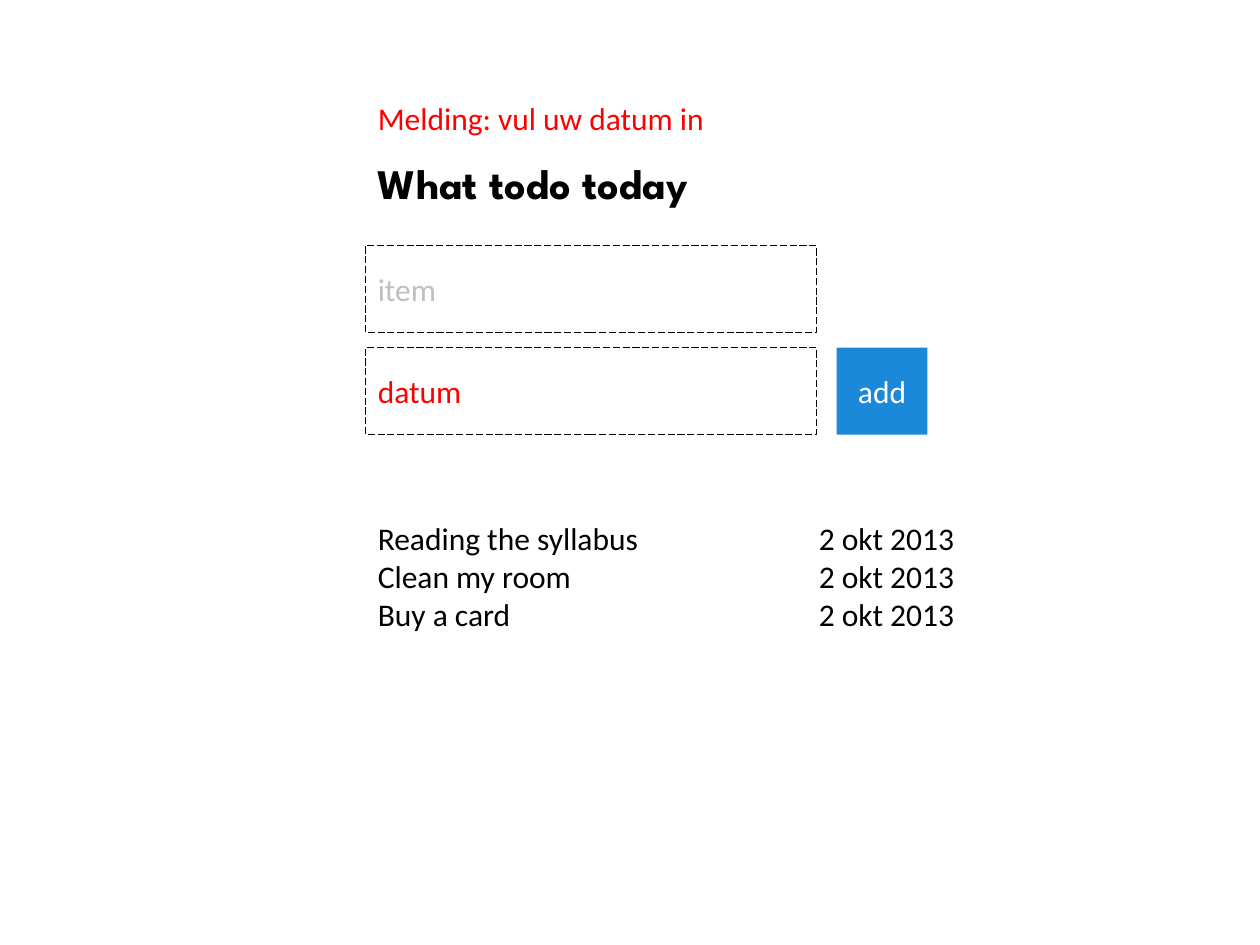
from lxml import etree
from pptx import Presentation
from pptx.dml.color import RGBColor
from pptx.enum.dml import MSO_LINE
from pptx.enum.shapes import MSO_SHAPE
from pptx.enum.text import MSO_ANCHOR, MSO_AUTO_SIZE, PP_ALIGN
from pptx.oxml.ns import qn
from pptx.util import Inches, Pt

RECT = MSO_SHAPE.RECTANGLE
DASH = MSO_LINE.LONG_DASH
MID, TOP = MSO_ANCHOR.MIDDLE, MSO_ANCHOR.TOP
LEFT, MIDDLE = PP_ALIGN.LEFT, PP_ALIGN.CENTER
GROW = MSO_AUTO_SIZE.SHAPE_TO_FIT_TEXT
CELL = Inches(0.1)
STOP = Inches(3.5)
HUES = {"ink": "000000", "hint": "BFBFBF", "alert": "FF0000",
        "button": "1C88DA", "paper": "FFFFFF"}
BODY = {"name": "Calibri", "size": Pt(18), "bold": False}
HEAD = {"name": "League Spartan", "size": Pt(24), "bold": True}
EDGE, WIDE, FIELD = 29, 51.8, 35.8
ROW, STEP, FIRST = 6.9, 8.1, 19.5
TASKS = [("Reading the syllabus", "2 okt 2013"),
         ("Clean my room", "2 okt 2013"),
         ("Buy a card", "2 okt 2013")]


def hue(name):
    """Return the named colour."""
    return RGBColor.from_string(HUES[name])


def span(box):
    """Turn grid columns and rows into lengths."""
    return [round(n * CELL) for n in box]


def write(frame, lines, ink, font=BODY, align=LEFT):
    """Fill a text frame with one styled paragraph per line."""
    for i, line in enumerate(lines):
        para = frame.add_paragraph() if i else frame.paragraphs[0]
        para.alignment = align
        run = para.add_run()
        run.text = line
        for key, value in font.items():
            setattr(run.font, key, value)
        run.font.color.rgb = hue(ink)


def label(slide, box, lines, ink, font=BODY, wrap=True):
    """Place a text box and return its frame."""
    frame = slide.shapes.add_textbox(*span(box)).text_frame
    form = {"word_wrap": wrap, "auto_size": GROW, "vertical_anchor": TOP}
    for key, value in form.items():
        setattr(frame, key, value)
    write(frame, lines, ink, font)
    return frame


def block(slide, box, text, ink, align=LEFT):
    """Place a plain rectangle with text and return it."""
    shape = slide.shapes.add_shape(RECT, *span(box))
    shape.shadow.inherit = False
    shape.fill.background()
    shape.line.fill.background()
    shape.text_frame.vertical_anchor = MID
    write(shape.text_frame, [text], ink, align=align)
    return shape


def entry(slide, box, text, ink):
    """Place a dashed input field."""
    line = block(slide, box, text, ink).line
    line.color.rgb = hue("ink")
    for key, value in {"width": Pt(0.5), "dash_style": DASH}.items():
        setattr(line, key, value)


def button(slide, box, text):
    """Place a filled button."""
    fill = block(slide, box, text, "paper", MIDDLE).fill
    fill.solid()
    fill.fore_color.rgb = hue("button")


def agenda(slide, box, tasks):
    """Place the tasks with their dates at a tab stop."""
    frame = label(slide, box, ["\t".join(task) for task in tasks], "ink")
    for para in frame.paragraphs:
        props = para._p.get_or_add_pPr()
        tabs = etree.SubElement(props, qn("a:tabLst"))
        etree.SubElement(tabs, qn("a:tab"), pos=str(STOP), algn="l")


def form(slide, left, top):
    """Place the input fields and the button."""
    for i, (text, ink) in enumerate([("item", "hint"), ("datum", "alert")]):
        entry(slide, (left, top + i * STEP, FIELD, ROW), text, ink)
    button(slide, (left + FIELD + 1.6, top + STEP, 7.2, ROW), "add")


def main():
    """Build and save the slide."""
    deck = Presentation()
    deck.slide_width, deck.slide_height = span((100, 75))
    slide = deck.slides.add_slide(deck.slide_layouts[6])
    form(slide, EDGE, FIRST)
    label(slide, (EDGE, 12, 29.4, 5), ["What todo today"], "ink", HEAD, False)
    agenda(slide, (EDGE, 40.7, WIDE, 10.1), TASKS)
    label(slide, (EDGE, 7.4, WIDE, 4), ["Melding: vul uw datum in"], "alert")
    deck.save("out.pptx")


if __name__ == "__main__":
    main()
